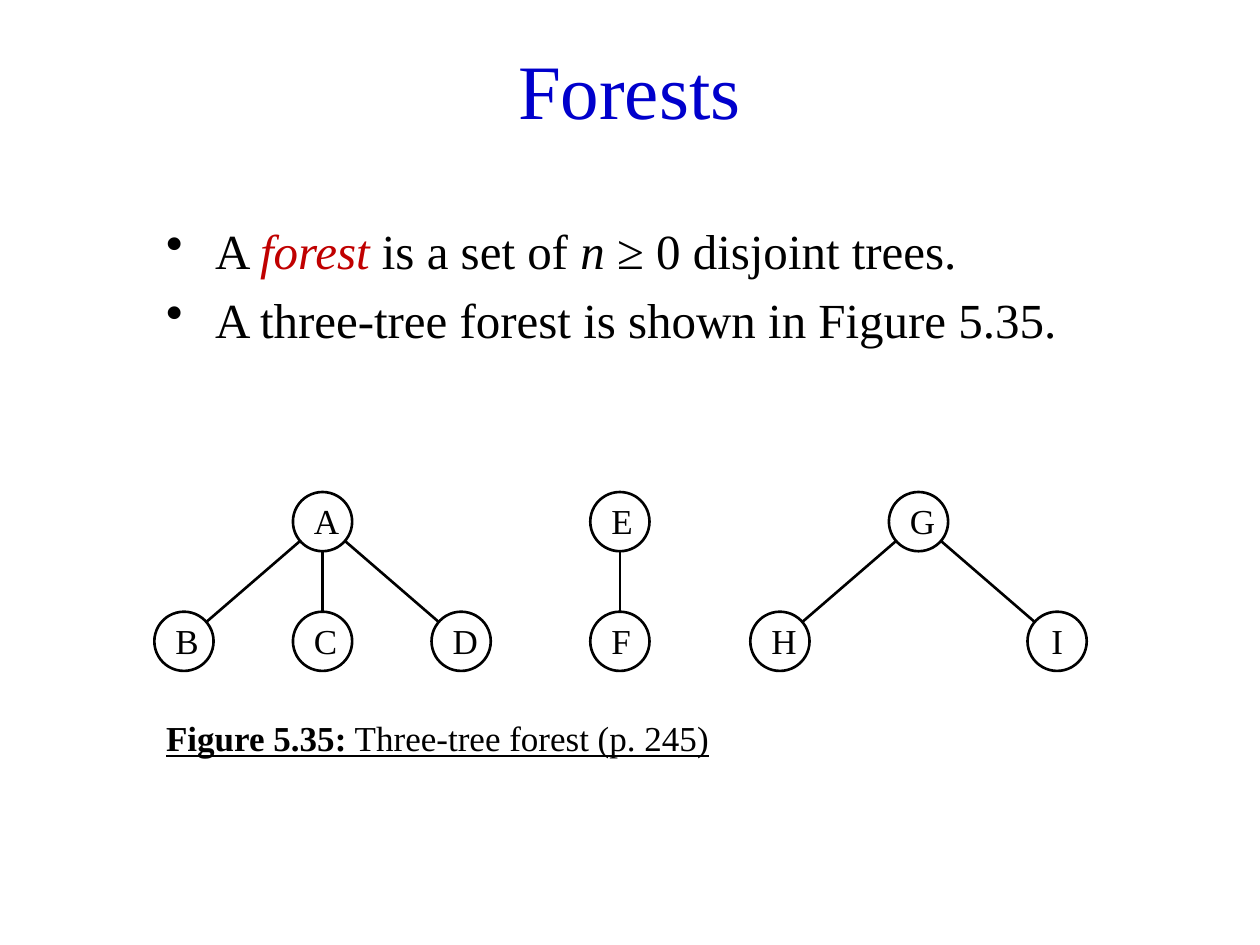
from lxml import etree
from pptx import Presentation
from pptx.dml.color import RGBColor
from pptx.enum.shapes import MSO_CONNECTOR, MSO_SHAPE
from pptx.enum.text import MSO_ANCHOR, PP_ALIGN
from pptx.oxml.ns import qn
from pptx.util import Inches, Pt

FONT = "Times New Roman"
BLACK = RGBColor(0x00, 0x00, 0x00)
WHITE = RGBColor(0xFF, 0xFF, 0xFF)
BLUE = RGBColor(0x00, 0x00, 0xCC)
RED = RGBColor(0xC0, 0x00, 0x00)

NODE = 0.47
ROOT_Y, LEAF_Y = 4.14, 5.09
BRANCH = 1.1


def add_text(box, paragraphs, size, color=BLACK, bullet=False):
    """Add a text box; each paragraph is a list of (text, font settings)."""
    tb = s.shapes.add_textbox(*[Inches(v) for v in box])
    tf = tb.text_frame
    tf.word_wrap = True
    for i, runs in enumerate(paragraphs):
        p = tf.paragraphs[0] if i == 0 else tf.add_paragraph()
        p.font.name, p.font.size = FONT, Pt(size)
        p.font.color.rgb = color
        for text, settings in runs:
            r = p.add_run()
            r.text = text
            r.font.name, r.font.size = FONT, Pt(size)
            r.font.color.rgb = settings.get("color", color)
            r.font.bold = settings.get("bold")
            r.font.italic = settings.get("italic")
            r.font.underline = settings.get("underline")
        if bullet:
            pPr = p._p.get_or_add_pPr()
            pPr.set("marL", str(Inches(0.39)))
            pPr.set("indent", str(-Inches(0.39)))
            mark = etree.Element(qn("a:buChar"), char="•")
            spacing = etree.Element(qn("a:spcBef"))
            etree.SubElement(spacing, qn("a:spcPct"), val="20000")
            pPr.insert(0, mark)
            pPr.insert(0, spacing)
    return tf


def add_node(label, x, y):
    """Draw a labelled tree node centred on (x, y)."""
    sp = s.shapes.add_shape(MSO_SHAPE.OVAL, Inches(x - NODE / 2),
                            Inches(y - NODE / 2), Inches(NODE), Inches(NODE))
    sp.shadow.inherit = False
    sp.fill.solid()
    sp.fill.fore_color.rgb = WHITE
    sp.line.color.rgb = BLACK
    sp.line.width = Pt(1.5)
    tf = sp.text_frame
    tf.word_wrap = True
    tf.vertical_anchor = MSO_ANCHOR.BOTTOM
    tf.margin_left = tf.margin_right = Inches(0.1)
    tf.margin_top, tf.margin_bottom = 0, Inches(0.01)
    p = tf.paragraphs[0]
    p.text = label
    p.alignment = PP_ALIGN.CENTER
    p.font.name, p.font.size = FONT, Pt(20)
    p.font.color.rgb = BLACK


prs = Presentation()
prs.slide_width, prs.slide_height = Inches(10), Inches(7.5)
s = prs.slides.add_slide(prs.slide_layouts[6])

title = add_text((0.27, 0.21, 9.45, 0.98), [[("Forests", {})]], 44, BLUE)
title.vertical_anchor = MSO_ANCHOR.MIDDLE
title.paragraphs[0].alignment = PP_ALIGN.CENTER

add_text((1.22, 1.7, 7.56, 1.26), [
    [("A ", {}), ("forest", {"color": RED, "italic": True}),
     (" is a set of ", {}), ("n ", {"italic": True}),
     ("≥ 0 disjoint trees.", {})],
    [("A three-tree forest is shown in Figure 5.35.", {})],
], 28, bullet=True)

caption = add_text((1.22, 5.64, 4.57, 0.47), [
    [("Figure 5.35:", {"bold": True, "underline": True}),
     (" Three-tree forest (p. 245)", {"underline": True})],
], 20)
caption.paragraphs[0].space_before = Pt(4)

# Each tree: root label, root x, and leaves with their side (-1, 0, 1)
trees = [
    ("A", 2.56, [("B", -1), ("C", 0), ("D", 1)]),
    ("E", 4.92, [("F", 0)]),
    ("G", 7.29, [("H", -1), ("I", 1)]),
]
for root, root_x, leaves in trees:
    for leaf, side in leaves:
        leaf_x = root_x + side * BRANCH
        edge = s.shapes.add_connector(
            MSO_CONNECTOR.STRAIGHT, Inches(root_x), Inches(ROOT_Y),
            Inches(leaf_x), Inches(LEAF_Y))
        edge.line.color.rgb = BLACK
        edge.line.width = Pt(1.5)
        etree.SubElement(edge._element.spPr, qn("a:effectLst"))
        add_node(leaf, leaf_x, LEAF_Y)
    add_node(root, root_x, ROOT_Y)

prs.save("out.pptx")
